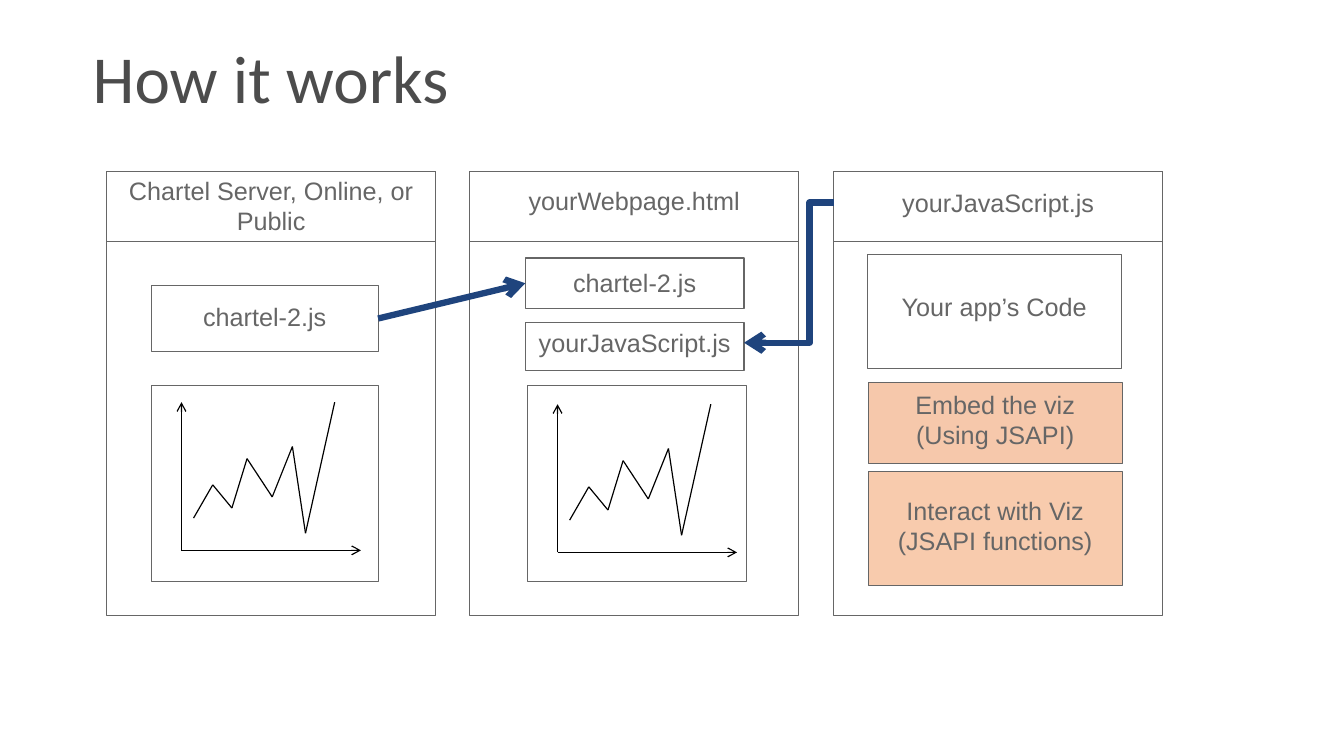
from itertools import pairwise

from lxml import etree
from pptx import Presentation
from pptx.dml.color import RGBColor
from pptx.enum.shapes import MSO_CONNECTOR, MSO_SHAPE
from pptx.enum.text import MSO_ANCHOR, PP_ALIGN
from pptx.oxml.ns import qn
from pptx.util import Inches, Pt

RECTANGLE = MSO_SHAPE.RECTANGLE
STRAIGHT, ELBOW = MSO_CONNECTOR.STRAIGHT, MSO_CONNECTOR.ELBOW
TOP, LEFT, CENTER = MSO_ANCHOR.TOP, PP_ALIGN.LEFT, PP_ALIGN.CENTER

TITLE = "How it works"
GRAY, TITLE_GRAY, NAVY, BLACK = "666666", "4C4C4C", "1F447D", "000000"
PEACH, LIGHT_PEACH = "F6C8AB", "F8CBAD"

PANEL_TOP, PANEL_WIDTH, PANEL_HEIGHT, HEADER_HEIGHT = 1.7, 3.26, 4.41, 0.7
PANELS = [
    (1.06, "Chartel Server, Online, or Public", 0.04),
    (4.66, "yourWebpage.html", 0.14),
    (8.27, "yourJavaScript.js", 0.16),
]
BLOCKS = {
    "server library": ((1.5, 2.83, 2.25, 0.66), ["chartel-2.js"], 0.16, None),
    "page library": ((5.21, 2.56, 2.17, 0.5), ["chartel-2.js"], 0.09, None),
    "page script": ((5.21, 3.2, 2.17, 0.48), ["yourJavaScript.js"], 0.05, None),
    "app code": ((8.6, 2.53, 2.52, 1.13), ["Your app’s Code"], 0.36, None),
    "embed": ((8.61, 3.79, 2.52, 0.81),
              ["Embed the viz", "(Using JSAPI)"], 0.07, PEACH),
    "interact": ((8.61, 4.68, 2.52, 1.13),
                 ["Interact with Viz", "(JSAPI functions)"], 0.23, LIGHT_PEACH),
}
CHARTS = [((1.5, 3.82, 2.25, 1.95), (1.8, 5.46)),
          ((5.23, 3.82, 2.17, 1.95), (5.53, 5.48))]
AXIS_ENDS = [(0, 1.47), (1.78, 0)]
TREND = [(0.12, 0.32), (0.31, 0.65), (0.5, 0.42), (0.65, 0.91),
         (0.9, 0.53), (1.1, 1.03), (1.23, 0.17), (1.52, 1.47)]
SCRIPT_START, SCRIPT_END, SCRIPT_BEND = (8.27, 2.01), (7.38, 3.4), 27200


def color(value):
    return RGBColor.from_string(value)


def write(shape, lines, size, font, tint, align, margins):
    frame = shape.text_frame
    frame.word_wrap = True
    frame.vertical_anchor = TOP
    (frame.margin_left, frame.margin_top,
     frame.margin_right, frame.margin_bottom) = map(Inches, margins)
    for number, line in enumerate(lines):
        para = frame.add_paragraph() if number else frame.paragraphs[0]
        para.alignment = align
        span = para.add_run()
        span.text = line
        span.font.size = Pt(size)
        span.font.name = font
        span.font.color.rgb = color(tint)


def add_box(page, place, lines=(), top_margin=0.05, fill=None):
    box = page.shapes.add_shape(RECTANGLE, *map(Inches, place))
    box.shadow.inherit = False
    if fill:
        box.fill.solid()
        box.fill.fore_color.rgb = color(fill)
    else:
        box.fill.background()
    box.line.color.rgb = color(GRAY)
    box.line.width = Pt(0.75)
    if lines:
        write(box, lines, 18, "Arial", GRAY, CENTER, (0.1, top_margin, 0.1, 0))
    return box


def add_line(page, start, end, tint, width, arrow=False, kind=STRAIGHT):
    line = page.shapes.add_connector(kind, *map(Inches, (*start, *end)))
    line.line.color.rgb = color(tint)
    line.line.width = Pt(width)
    properties = line._element.spPr
    if arrow:
        etree.SubElement(properties.find(qn("a:ln")), qn("a:tailEnd"), type="arrow")
    etree.SubElement(properties, qn("a:effectLst"))
    return line


def add_chart_sketch(page, frame, origin):
    def at(point):
        return origin[0] + point[0], origin[1] - point[1]

    add_box(page, frame)
    for axis_end in AXIS_ENDS:
        add_line(page, origin, at(axis_end), BLACK, 0.85, arrow=True)
    for start, end in pairwise(TREND):
        add_line(page, at(start), at(end), BLACK, 0.85)


def main():
    deck = Presentation()
    deck.slide_width, deck.slide_height = Inches(13.33), Inches(7.5)
    page = deck.slides.add_slide(deck.slide_layouts[6])

    title = page.shapes.add_textbox(*map(Inches, (0.92, 0.36, 11.5, 1.45)))
    write(title, [TITLE], 48, "Calibri", TITLE_GRAY, LEFT, (0, 0, 0, 0))

    for left, heading, top_margin in PANELS:
        add_box(page, (left, PANEL_TOP, PANEL_WIDTH, PANEL_HEIGHT))
        add_box(page, (left, PANEL_TOP, PANEL_WIDTH, HEADER_HEIGHT),
                [heading], top_margin)
    blocks = {name: add_box(page, *block) for name, block in BLOCKS.items()}
    for frame, origin in CHARTS:
        add_chart_sketch(page, frame, origin)

    library_link = add_line(page, (3.75, 3.16), (5.21, 2.81), NAVY, 4.5, arrow=True)
    library_link.begin_connect(blocks["server library"], 3)
    library_link.end_connect(blocks["page library"], 1)

    script_link = add_line(page, SCRIPT_START, SCRIPT_END, NAVY, 4.5, True, ELBOW)
    geometry = script_link._element.spPr.find(qn("a:prstGeom"))
    etree.SubElement(geometry.find(qn("a:avLst")), qn("a:gd"),
                     name="adj1", fmla=f"val {SCRIPT_BEND}")

    deck.save("out.pptx")


if __name__ == "__main__":
    main()
